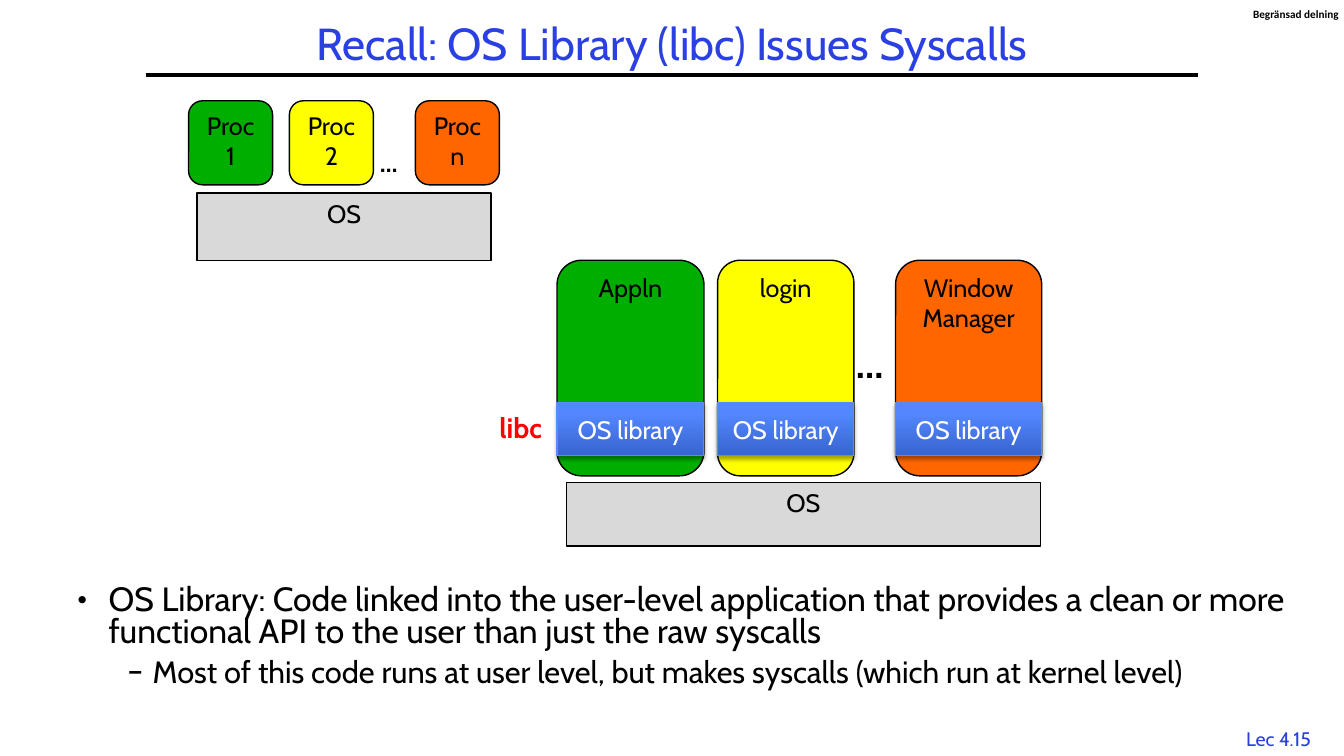
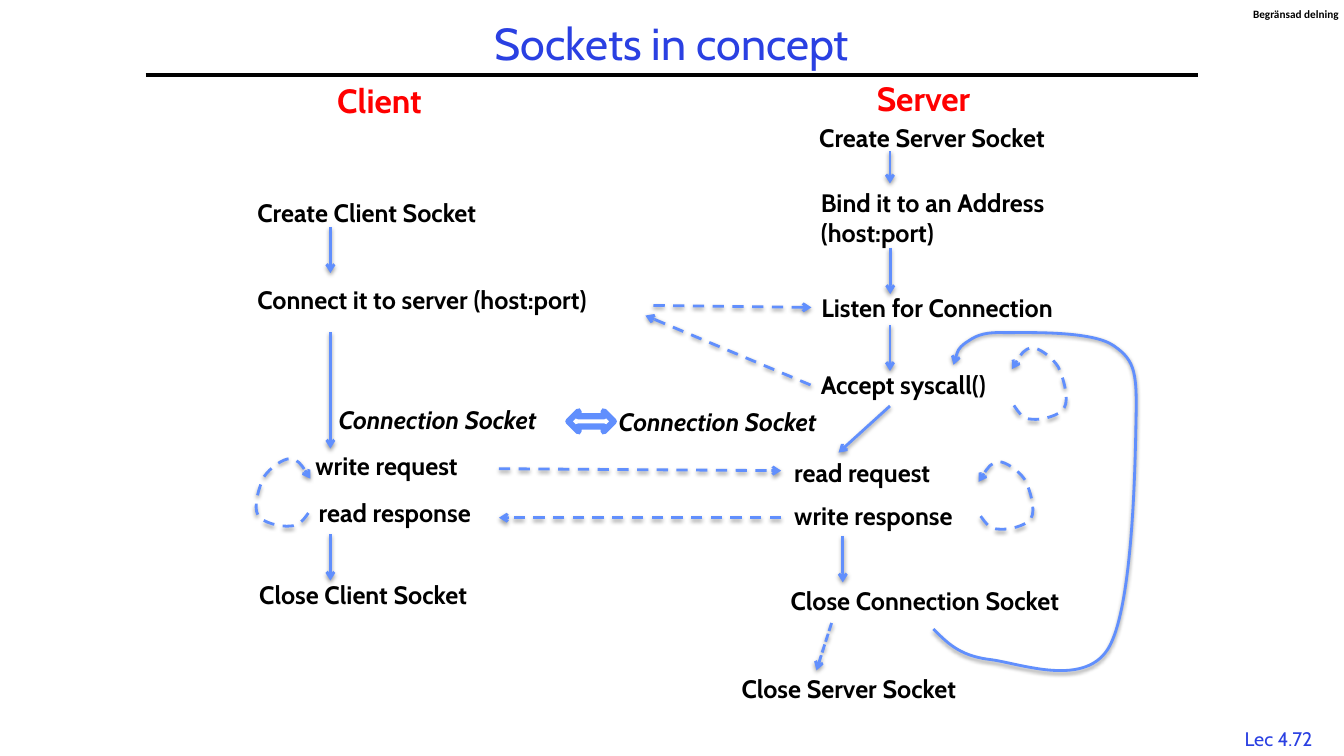
from dataclasses import dataclass

from lxml import etree
from pptx import Presentation
from pptx import util as u
from pptx.dml.color import RGBColor
from pptx.enum import dml, shapes, text
from pptx.oxml.ns import qn

# Shared look
BLACK = RGBColor(0x00, 0x00, 0x00)
WHITE = RGBColor(0xFF, 0xFF, 0xFF)
BLUE = RGBColor(0x2A, 0x40, 0xE2)
RED = RGBColor(0xFF, 0x00, 0x00)
GREEN = RGBColor(0x00, 0xAE, 0x00)
YELLOW = RGBColor(0xFF, 0xFF, 0x00)
ORANGE = RGBColor(0xFF, 0x66, 0x00)
GREY = RGBColor(0xD9, 0xD9, 0xD9)
ARROW_BLUE = RGBColor(0x61, 0x8F, 0xFD)
LIB_DARK = RGBColor(0x37, 0x64, 0xCE)
LIB_LIGHT = RGBColor(0x54, 0x87, 0xFF)
LIB_EDGE = RGBColor(0x5B, 0x8A, 0xFB)
FONT = "Cabin"
Pt = u.Pt
LEFT, CENTER, RIGHT = text.PP_ALIGN.LEFT, text.PP_ALIGN.CENTER, text.PP_ALIGN.RIGHT
TOP, MIDDLE = text.MSO_ANCHOR.TOP, text.MSO_ANCHOR.MIDDLE
RECT, ROUND = shapes.MSO_SHAPE.RECTANGLE, shapes.MSO_SHAPE.ROUNDED_RECTANGLE
DASH, SHORT_DASH = dml.MSO_LINE.DASH, dml.MSO_LINE.SQUARE_DOT
Point = tuple[float, float]


@dataclass(frozen=True)
class Style:
    size: float = 18
    color: RGBColor = BLACK
    bold: bool = False
    italic: bool = False
    font: str = FONT
    align: text.PP_ALIGN = LEFT


@dataclass(frozen=True)
class Process:
    name: str
    left: float
    width: float
    color: RGBColor


@dataclass(frozen=True)
class Label:
    words: str
    left: float
    top: float
    width: float
    style: Style


@dataclass(frozen=True)
class Arrow:
    start: Point
    end: Point
    dash: dml.MSO_LINE | None = None


@dataclass(frozen=True)
class Loop:
    left: float
    top: float
    stretch: float = 1
    mirrored: bool = False


STEP = Style(bold=True)
SOCKET = Style(bold=True, italic=True)
HEADING = Style(24, RED, bold=True)
BOX_TEXT = Style(align=CENTER)


# Drawing helpers
def write(tf, words: str, style: Style) -> None:
    tf.text = words
    tf.word_wrap = True
    for p in tf.paragraphs:
        p.alignment = style.align
        for r in p.runs:
            r.font.name = style.font
            r.font.size = Pt(style.size)
            r.font.bold = style.bold
            r.font.italic = style.italic
            r.font.color.rgb = style.color


def add_text(s, words: str, left: float, top: float, width: float,
             height: float, style: Style, anchor=TOP):
    tf = s.shapes.add_textbox(Pt(left), Pt(top), Pt(width), Pt(height)).text_frame
    write(tf, words, style)
    tf.vertical_anchor = anchor
    return tf


def add_box(s, kind, words: str, left: float, top: float, width: float,
            height: float, fill: RGBColor, style: Style = BOX_TEXT, anchor=TOP):
    sp = s.shapes.add_shape(kind, Pt(left), Pt(top), Pt(width), Pt(height))
    sp.shadow.inherit = False
    sp.fill.solid()
    sp.fill.fore_color.rgb = fill
    sp.line.color.rgb = BLACK
    sp.line.width = Pt(1)
    if words:
        write(sp.text_frame, words, style)
        sp.text_frame.vertical_anchor = anchor
    return sp


def set_shadow(sp, distance: float, alpha: int) -> None:
    props = sp._element.spPr
    effects = props.find(qn("a:effectLst"))
    if effects is None:
        effects = etree.SubElement(props, qn("a:effectLst"))
    shadow = etree.SubElement(effects, qn("a:outerShdw"), blurRad=str(Pt(3.1)),
                              dist=str(Pt(distance)), dir="5400000", rotWithShape="0")
    color = etree.SubElement(shadow, qn("a:srgbClr"), val=str(BLACK))
    etree.SubElement(color, qn("a:alpha"), val=str(alpha * 1000))


def style_arrow(sp, dash: dml.MSO_LINE | None) -> None:
    sp.line.color.rgb = ARROW_BLUE
    sp.line.width = Pt(2)
    if dash is not None:
        sp.line.dash_style = dash
    etree.SubElement(sp._element.spPr.find(qn("a:ln")), qn("a:tailEnd"), type="arrow")
    set_shadow(sp, 1.6, 38)


def add_line(s, start: Point, end: Point):
    return s.shapes.add_connector(shapes.MSO_CONNECTOR.STRAIGHT,
                                  *(Pt(v) for v in (*start, *end)))


def add_curve(s, left: float, top: float, width: float, height: float,
              points: list[Point], dash: dml.MSO_LINE | None = None) -> None:
    """Draw cubic curves in a frame: a start, then three points per curve."""
    pen = s.shapes.build_freeform(Pt(left), Pt(top))
    pen.add_line_segments([(Pt(left + width), Pt(top + height))], close=False)
    sp = pen.convert_to_shape()
    outline = next(sp._element.iter(qn("a:path")))
    for child in list(outline):
        outline.remove(child)
    for i, (x, y) in enumerate(points):
        if i == 0:
            segment = etree.SubElement(outline, qn("a:moveTo"))
        elif i % 3 == 1:
            segment = etree.SubElement(outline, qn("a:cubicBezTo"))
        etree.SubElement(segment, qn("a:pt"), x=str(Pt(x - left)), y=str(Pt(y - top)))
    sp.shadow.inherit = False
    sp.fill.background()
    style_arrow(sp, dash)


def add_frame(prs, title: str, number: str):
    """Add a slide with the title, rule, page number and sharing mark."""
    s = prs.slides.add_slide(prs.slide_layouts[6])
    add_text(s, number, 878.4, 515.5, 69.8, 24, Style(14, BLUE, align=CENTER))
    rule = add_line(s, (104, 53.8), (856, 53.8))
    rule.line.color.rgb = BLACK
    rule.line.width = Pt(3)
    etree.SubElement(rule._element.spPr, qn("a:effectLst"))
    mark = add_text(s, "Begränsad delning", 895, 5, 62, 10,
                    Style(8, bold=True, font="Calibri"))
    mark.margin_left = mark.margin_right = mark.margin_top = mark.margin_bottom = 0
    tf = add_text(s, title, 104, 12, 752, 42, Style(32, BLUE, align=CENTER), MIDDLE)
    tf.paragraphs[0].line_spacing = 0.9
    return s


# Slide: OS library
SMALL = [Process("Proc 1", 134.7, 60, GREEN), Process("Proc 2", 206.7, 60, YELLOW),
         Process("Proc n", 296.7, 60, ORANGE)]
LARGE = [Process("Appln", 397.9, 105, GREEN), Process("login", 512.6, 97.4, YELLOW),
         Process("Window Manager", 639.7, 104.4, ORANGE)]
BULLETS = [
    ("OS Library: Code linked into the user-level application that provides a clean or "
     "more functional API to the user than just the raw syscalls", "•", 24, 22.5, 22.5, 0),
    ("Most of this code runs at user level, but makes syscalls (which run at kernel level)",
     "–", 22, 54, 18, 7),
]


def add_library(s, proc: Process) -> None:
    sp = add_box(s, RECT, "OS library", proc.left, 287.5, proc.width, 38, LIB_LIGHT,
                 Style(color=WHITE, align=CENTER), MIDDLE)
    sp.fill.gradient()
    sp.fill.gradient_angle = 90
    for stop, color, place in zip(sp.fill.gradient_stops, (LIB_DARK, LIB_LIGHT), (0, 0.8)):
        stop.color.rgb = color
        stop.position = place
    sp.line.color.rgb = LIB_EDGE
    sp.line.width = Pt(0.75)
    set_shadow(sp, 1.8, 35)


def add_bullets(s) -> None:
    tf = add_text(s, "\n".join(b[0] for b in BULLETS), 48, 414.7, 888, 83, Style())
    for p, (_, char, size, margin, hang, before) in zip(tf.paragraphs, BULLETS):
        props = p._p.get_or_add_pPr()
        props.set("marL", str(Pt(margin)))
        props.set("indent", str(-Pt(hang)))
        etree.SubElement(props, qn("a:buFont"), typeface=FONT)
        etree.SubElement(props, qn("a:buChar"), char=char)
        p.line_spacing = 0.8
        p.space_before = Pt(before)
        p.runs[0].font.size = Pt(size)


def library_slide(prs) -> None:
    s = add_frame(prs, "Recall: OS Library (libc) Issues Syscalls", "Lec 4.15")
    add_bullets(s)
    # Processes over one OS
    add_box(s, RECT, "OS", 140.8, 137.9, 210, 48.2, GREY)
    for proc in SMALL:
        add_box(s, ROUND, proc.name, proc.left, 72, proc.width, 60, proc.color)
    add_text(s, "…", 264.2, 102, 32.4, 29, STEP)
    # Programs with the library inside
    add_box(s, RECT, "OS", 404.6, 344.7, 338.6, 45.2, GREY)
    for proc in LARGE:
        add_box(s, ROUND, proc.name, proc.left, 185.9, proc.width, 154, proc.color)
    add_text(s, "…", 604.2, 239, 46.8, 41, Style(28, bold=True))
    for proc in LARGE:
        add_library(s, proc)
    add_text(s, "libc", 345.2, 290, 49, 32, Style(20, RED, bold=True, align=RIGHT))


# Slide: sockets
LABELS = [
    Label("Client", 233.8, 53.3, 82, HEADING),
    Label("Server", 619.2, 51.8, 94, HEADING),
    Label("Create Client Socket", 176.7, 137.5, 192, STEP),
    Label("Connect it to server (host:port)", 176.7, 199.5, 282, STEP),
    Label("write request", 218.2, 318.2, 127, STEP),
    Label("read response", 220.6, 352, 138, STEP),
    Label("Close Client Socket", 178.1, 410, 185, STEP),
    Label("Create Server Socket", 578.1, 83.9, 197, STEP),
    Label("Bind it to an Address\n(host:port)", 579.3, 130.3, 202, STEP),
    Label("Listen for Connection", 579.6, 205.2, 202, STEP),
    Label("Accept syscall()", 579.2, 260, 153, STEP),
    Label("read request", 560.2, 323.3, 127, STEP),
    Label("write response", 560.2, 353.9, 143, STEP),
    Label("Close Connection Socket", 557.6, 414.7, 234, STEP),
    Label("Close Server Socket", 522.6, 477.4, 194, STEP),
    Label("Connection Socket", 234.7, 285, 179, SOCKET),
    Label("Connection Socket", 434.8, 286.5, 179, SOCKET),
]
ARROWS = [
    Arrow((236, 162), (236, 195)),
    Arrow((236, 237.4), (236, 320.4)),
    Arrow((236, 381.6), (236, 414.7)),
    Arrow((635.7, 108), (635.7, 131)),
    Arrow((635.9, 177), (635.9, 210)),
    Arrow((635.7, 232), (635.7, 265)),
    Arrow((635.7, 290), (599, 323.3)),
    Arrow((602, 383), (602, 416)),
    Arrow((594, 445), (583.2, 478.8), SHORT_DASH),
    Arrow((466.8, 218.2), (579.6, 219.6), DASH),
    Arrow((579, 275), (461, 225.4), DASH),
    Arrow((356.4, 334.8), (558, 336.2), DASH),
    Arrow((558, 369.8), (356.4, 369.8), DASH),
]
LOOP_WIDTH, LOOP_HEIGHT = 39, 48.2
LOOP_POINTS = [
    (1.4, 38.9), (5, 43.9), (7.9, 48.2), (14.4, 48.2), (20.2, 49), (34.6, 46), (37.4, 40.3),
    (41, 34.6), (36.7, 20.2), (33.1, 13), (28.8, 6.5), (19.4, 0), (14.4, 0),
    (8.6, 0.7), (4.3, 7.2), (0, 14.4),
]
LOOPS = [Loop(699.1, 329.8), Loop(182.7, 327.6, mirrored=True), Loop(722.9, 248.4, 1.06)]
NEXT_CLIENT = [
    (666.7, 449.3), (676.1, 458.6), (684.7, 468), (705.6, 470.9), (726.5, 473),
    (773.3, 491.8), (791.3, 463.7), (808.6, 436.3), (810.7, 339.1), (811.4, 303.1),
    (812.2, 267.1), (811.4, 257.8), (795.6, 247), (780.5, 236.2), (735.1, 237.6),
    (717.8, 237.6), (699.8, 236.9), (695.5, 241.2), (689.8, 244.8), (684, 249.1),
    (682.6, 254.9), (681.1, 260.6),
]


def add_loop(s, loop: Loop) -> None:
    points = [(loop.left + (LOOP_WIDTH - x if loop.mirrored else x),
               loop.top + y * loop.stretch) for x, y in LOOP_POINTS]
    add_curve(s, loop.left, loop.top, LOOP_WIDTH, LOOP_HEIGHT * loop.stretch, points, DASH)


def sockets_slide(prs) -> None:
    s = add_frame(prs, "Sockets in concept", "Lec 4.72")
    for label in LABELS:
        height = 29 * label.style.size / 18 if "\n" not in label.words else 51
        add_text(s, label.words, label.left, label.top, label.width, height, label.style)
    for arrow in ARROWS:
        style_arrow(add_line(s, arrow.start, arrow.end), arrow.dash)
    for loop in LOOPS:
        add_loop(s, loop)
    add_curve(s, 666.7, 237.4, 144.7, 242, NEXT_CLIENT)
    # Link between the two connection sockets
    link = add_box(s, shapes.MSO_SHAPE.LEFT_RIGHT_ARROW, "", 406, 293.8, 32.4, 14.4, WHITE)
    link.line.color.rgb = ARROW_BLUE
    link.line.width = Pt(4.5)


def main() -> None:
    prs = Presentation()
    prs.slide_width, prs.slide_height = Pt(960), Pt(540)
    library_slide(prs)
    sockets_slide(prs)
    prs.save("out.pptx")


if __name__ == "__main__":
    main()
